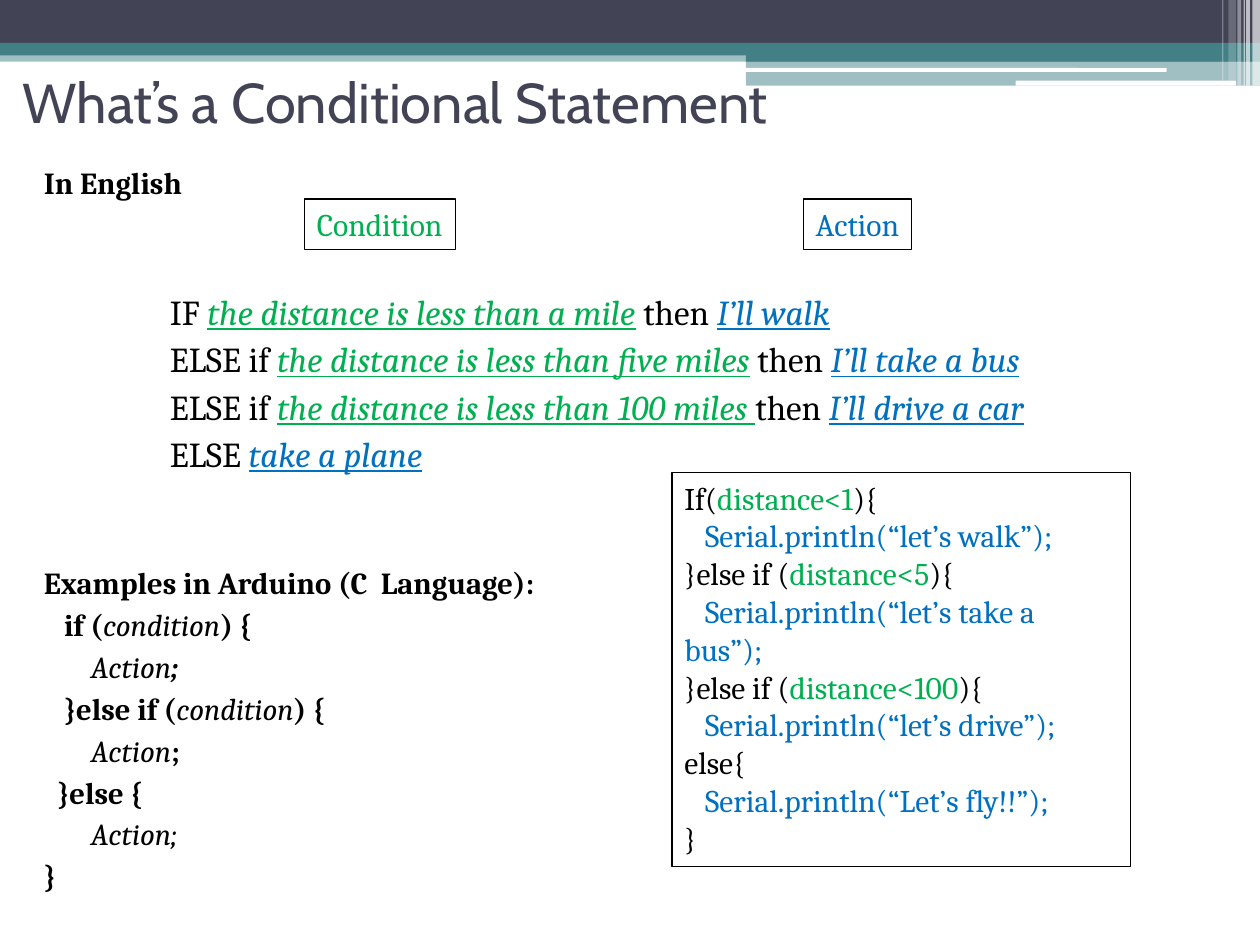
from lxml import etree
from pptx import Presentation
from pptx.dml.color import RGBColor
from pptx.enum import shapes as sh, text as tx
from pptx.oxml.ns import qn
from pptx.util import Pt

DARK, TEAL, WHITE, BLACK = "424456", "438086", "FFFFFF", "000000"
GREEN, BLUE = "00B050", "0070C0"
COND = dict(color=GREEN, ital=True, under=True)
ACT = dict(color=BLUE, ital=True, under=True)
BOLD, ITAL = dict(bold=True), dict(ital=True)


def paint(fmt, color, alpha=100):
    fmt.solid()
    fmt.fore_color.rgb = RGBColor.from_string(color)
    if alpha < 100:
        node = fmt._xPr.find(qn("a:solidFill"))[0]
        etree.SubElement(node, qn("a:alpha")).set("val", str(alpha * 1000))


def bar(slide, box, color, alpha=100, kind=sh.MSO_SHAPE.RECTANGLE):
    shape = slide.shapes.add_shape(kind, *map(Pt, box))
    shape.shadow.inherit = False
    shape.line.fill.background()
    paint(shape.fill, color, alpha)


def style(run, size, font, color=BLACK, bold=False, ital=False, under=False):
    face = run.font
    face.size, face.name = Pt(size), font
    face.bold, face.italic, face.underline = bold, ital, under
    face.color.rgb = RGBColor.from_string(color)


def write(slide, box, lines, size=18, font="Cambria", gap=0, wrap=True,
          mid=False, frame=False):
    shape = slide.shapes.add_textbox(*map(Pt, box))
    if frame:
        paint(shape.line.fill, BLACK)
        shape.line.width = Pt(0.75)
    body = shape.text_frame
    body.word_wrap = wrap
    body.vertical_anchor = tx.MSO_ANCHOR.MIDDLE if mid else tx.MSO_ANCHOR.TOP
    for i, line in enumerate(lines):
        para = body.paragraphs[0] if i == 0 else body.add_paragraph()
        if i:
            para.space_before = Pt(gap)
        for words, look in line:
            run = para.add_run()
            run.text = words
            style(run, size, font, **look)


def banner(slide):
    bar(slide, (0, 28.8, 720, 6.48), TEAL, 50)
    bar(slide, (0, 0, 720, 24.48), DARK)
    bar(slide, (0, 24.48, 720, 7.2), TEAL)
    bar(slide, (426.24, 28.08, 293.76, 7.2), TEAL)
    bar(slide, (426.24, 34.56, 293.76, 14.4), TEAL, 50)
    for box in ((425.52, 38.88, 241.2, 2.16), (580.32, 46.08, 126, 2.88)):
        bar(slide, box, WHITE, kind=sh.MSO_SHAPE.ROUNDED_RECTANGLE)
    stripes = ((715.68, 4.32, 48.96, 65), (712.08, 2.16, 48.96, 65),
               (710.64, 0.72, 48.96, 60), (707.04, 2.16, 48.96, 40),
               (702, 4.32, 46.08, 20), (698.4, 0.72, 46.08, 30))
    for left, wide, high, alpha in stripes:
        bar(slide, (left, 0, wide, high), WHITE, alpha)


def english(slide):
    write(slide, (18, 90, 200, 28), [[("In English", BOLD)]], 17.5)
    rules = (("IF ", "the distance is less than a mile", " then ", "I’ll walk"),
             ("ELSE if ", "the distance is less than five miles", " then ",
              "I’ll take a bus"),
             ("ELSE if ", "the distance is less than 100 miles ", "then ",
              "I’ll drive a car"))
    looks = ({}, COND, {}, ACT)
    lines = [list(zip(rule, looks)) for rule in rules]
    lines.append([("ELSE ", {}), ("take a plane", ACT)])
    write(slide, (90, 162.5, 560, 112), lines, 20, gap=3)


def syntax(slide):
    test = [("condition", ITAL), (") {", BOLD)]
    step = ("       Action", ITAL)
    lines = [[("Examples in Arduino (C  Language):", BOLD)],
             [("   if (", BOLD)] + test,
             [step, (";", dict(bold=True, ital=True))],
             [("   }else if (", BOLD)] + test,
             [step, (";", BOLD)],
             [("  }else {", BOLD)],
             [step, (";", ITAL)],
             [("}", BOLD)]]
    write(slide, (18, 318.5, 340, 198), lines, 17.5, gap=3)


def sample(slide):
    lines = []
    for head, test, said in (("If(", "distance<1", "let’s walk"),
                             ("}else if (", "distance<5", "let’s take a bus"),
                             ("}else if (", "distance<100", "let’s drive"),
                             ("else{", "", "Let’s fly!!")):
        line = [(head, {})]
        if test:
            line += [(test, dict(color=GREEN)), ("){", {})]
        call = f"   Serial.println(“{said}”);"
        lines += [line, [(call, dict(color=BLUE))]]
    lines.append([("}", {})])
    write(slide, (384, 270, 262, 225.36), lines, frame=True)


def main():
    deck = Presentation()
    deck.slide_width, deck.slide_height = Pt(720), Pt(540)
    slide = deck.slides.add_slide(deck.slide_layouts[6])
    banner(slide)
    write(slide, (5.76, 14.4, 648, 87.12),
          [[("What’s a Conditional Statement", dict(color=DARK))]],
          32, "Cabin", mid=True)
    english(slide)
    syntax(slide)
    for left, wide, name, color in ((174, 86.4, "Condition", GREEN),
                                    (459, 62, "Action", BLUE)):
        write(slide, (left, 113.76, wide, 28.8),
              [[(name, dict(color=color))]], wrap=False, frame=True)
    sample(slide)
    deck.save("out.pptx")


if __name__ == "__main__":
    main()
